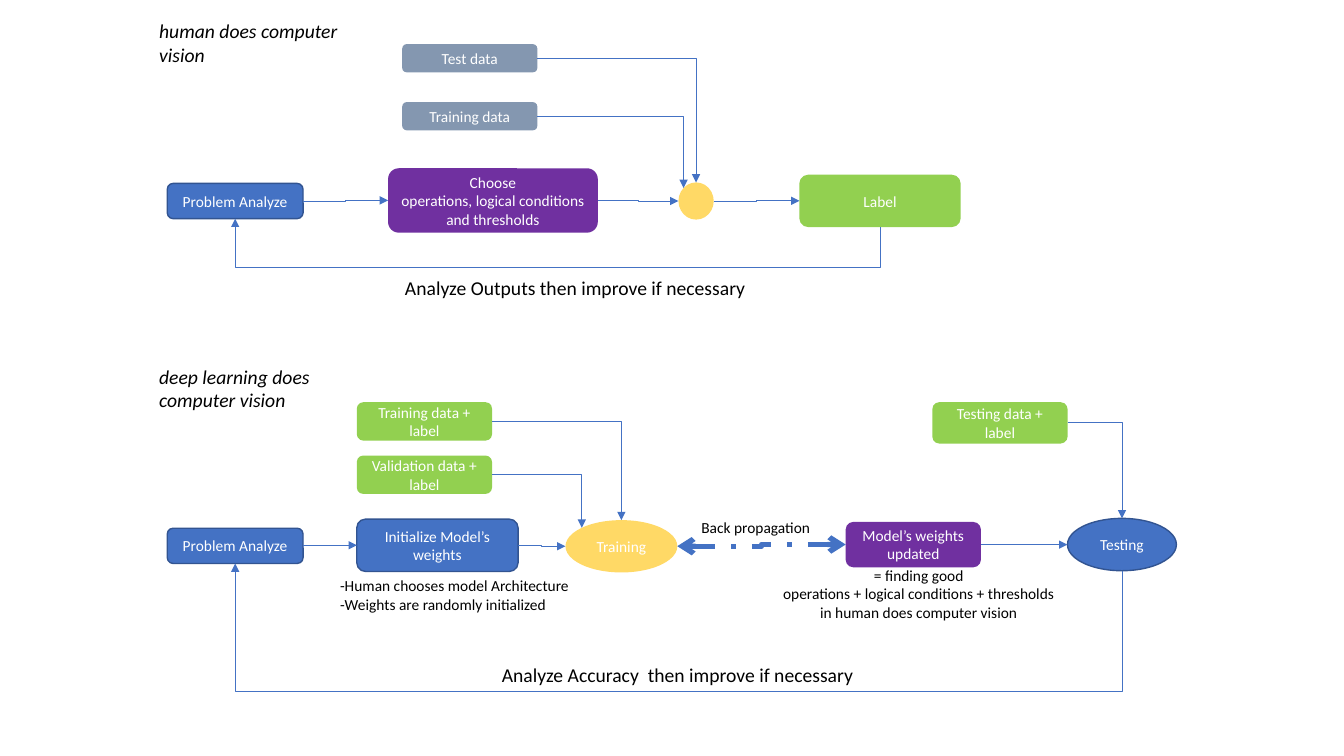
"""Build a slide comparing human and deep learning computer vision flows."""
from dataclasses import dataclass

from lxml.etree import SubElement
from pptx import Presentation
from pptx.dml.color import RGBColor
from pptx.enum.dml import MSO_LINE
from pptx.enum.shapes import MSO_CONNECTOR, MSO_SHAPE
from pptx.enum.text import MSO_ANCHOR, PP_ALIGN
from pptx.oxml.ns import qn
from pptx.util import Pt


@dataclass(frozen=True)
class Theme:
    font: str = "Calibri"
    small: int = 11
    large: int = 14
    blue: str = "4472C4"
    edge: str = "325491"
    slate: str = "8497B0"
    purple: str = "7030A0"
    green: str = "92D050"
    yellow: str = "FFD966"
    white: str = "FFFFFF"
    black: str = "000000"


theme = Theme()
TOP, LEFT, BOTTOM, RIGHT = range(4)
ROUND, OVAL = MSO_SHAPE.ROUNDED_RECTANGLE, MSO_SHAPE.OVAL

deck = Presentation()
deck.slide_width, deck.slide_height = Pt(960), Pt(540)
slide = deck.slides.add_slide(deck.slide_layouts[6])


def write(shape, text, size=theme.small, color=theme.white,
          align=PP_ALIGN.CENTER, anchor=MSO_ANCHOR.MIDDLE, italic=False):
    frame = shape.text_frame
    frame.word_wrap = True
    frame.vertical_anchor = anchor
    frame.text = text
    for para in frame.paragraphs:
        para.alignment = align
        para.font.name = theme.font
        para.font.size = Pt(size)
        para.font.italic = italic
        para.font.color.rgb = RGBColor.from_string(color)


def link(start, side, stop, face, prst="bentConnector3", width=0.5):
    wire = slide.shapes.add_connector(MSO_CONNECTOR.ELBOW, 0, 0, 0, 0)
    wire.begin_connect(start, side)
    wire.end_connect(stop, face)
    tree = wire._element
    for tag, node, spot in (("a:stCxn", start, side), ("a:endCxn", stop, face)):
        if node.auto_shape_type == OVAL:
            next(tree.iter(qn(tag))).set("idx", str(spot * 2))
    wire.line.width = Pt(width)
    wire.line.color.rgb = RGBColor.from_string(theme.blue)
    tree.spPr.find(qn("a:prstGeom")).set("prst", prst)
    SubElement(tree.spPr, qn("a:effectLst"))
    return wire


nodes = {}
for name, kind, text, fill, left, top, width, height in (
    ("test", ROUND, "Test data", theme.slate, 287.3, 31.5, 96.6, 20.2),
    ("train", ROUND, "Training data", theme.slate, 287.3, 72.9, 96.6, 20.2),
    ("human", ROUND, "Problem Analyze", theme.blue, 119.5, 131, 97, 25.2),
    ("choose", ROUND, "Choose\noperations, logical conditions and thresholds",
     theme.purple, 277.2, 120.2, 149.8, 46),
    ("join", OVAL, "", theme.yellow, 484.6, 130.3, 25.2, 26.6),
    ("label", ROUND, "Label", theme.green, 571, 124.8, 115.2, 37.4),
    ("learn", ROUND, "Training data + label", theme.green, 254.9, 287.3, 96.6, 27.4),
    ("valid", ROUND, "Validation data + label", theme.green, 254.9, 325.4, 96.6, 27.4),
    ("deep", ROUND, "Problem Analyze", theme.blue, 119.5, 377.3, 97, 25.2),
    ("init", ROUND, "Initialize Model’s weights", theme.blue, 254.9, 370.8, 115.2, 37.4),
    ("fit", OVAL, "Training", theme.yellow, 403.9, 371.5, 79.9, 37.4),
    ("weights", ROUND, "Model’s weights\nupdated", theme.purple, 604.1, 372.8, 96.6, 32.4),
    ("check", OVAL, "Testing", theme.blue, 762.5, 370.3, 77.8, 37.4),
    ("sample", ROUND, "Testing data + label", theme.green, 666, 287.3, 96.6, 29.5),
    ("good", ROUND, "= finding good\noperations + logical conditions + thresholds\n"
     "in human does computer vision", None, 545.8, 405.4, 221, 37.4),
    ("setup", ROUND, "-Human chooses model Architecture\n-Weights are randomly initialized",
     None, 234, 406.1, 182.9, 37.4),
):
    node = slide.shapes.add_shape(kind, Pt(left), Pt(top), Pt(width), Pt(height))
    node.shadow.inherit = False
    node.line.fill.background()
    if fill:
        node.fill.solid()
        node.fill.fore_color.rgb = RGBColor.from_string(fill)
    else:
        node.fill.background()
    if fill == theme.blue:
        node.line.color.rgb = RGBColor.from_string(theme.edge)
        node.line.width = Pt(1)
    if text:
        write(node, text, color=theme.white if fill else theme.black,
              align=PP_ALIGN.LEFT if name == "setup" else PP_ALIGN.CENTER)
    nodes[name] = node

for text, size, italic, left, top, width, height in (
    ("human does computer vision", theme.large, True, 106.6, 10.1, 170.6, 41),
    ("deep learning does computer vision", theme.large, True, 106.6, 257, 170.6, 41),
    ("Analyze Outputs then improve if necessary", theme.large, False, 282.2, 193.7, 270, 24.5),
    ("Analyze Accuracy  then improve if necessary", theme.large, False, 351.4, 470, 283.7, 24.5),
    ("Back propagation", theme.small, False, 493.9, 366.5, 96.5, 20.9),
):
    box = slide.shapes.add_textbox(Pt(left), Pt(top), Pt(width), Pt(height))
    write(box, text, size=size, color=theme.black, align=PP_ALIGN.LEFT,
          anchor=MSO_ANCHOR.TOP, italic=italic)

wires = []
for start, stop in (("human", "choose"), ("choose", "join"), ("join", "label"),
                    ("deep", "init"), ("init", "fit"), ("weights", "check")):
    wires.append(link(nodes[start], RIGHT, nodes[stop], LEFT))

for start, stop in (("test", "join"), ("learn", "fit"), ("sample", "check")):
    wires.append(link(nodes[start], RIGHT, nodes[stop], TOP, "bentConnector2"))

for start, stop, end_x, end_y in (("train", "join", 488.3, 134.3),
                                  ("valid", "fit", 415.6, 377)):
    wire = link(nodes[start], RIGHT, nodes[stop], TOP, "bentConnector2")
    wire.end_x, wire.end_y = Pt(end_x), Pt(end_y)
    next(wire._element.iter(qn("a:endCxn"))).set("idx", "1")
    wires.append(wire)

for start, stop, floor in (("label", "human", 190.8), ("check", "deep", 493.9)):
    wire = link(nodes[start], BOTTOM, nodes[stop], BOTTOM)
    span, rise = wire.begin_x - wire.end_x, wire.begin_y - wire.end_y
    mid_x, mid_y = (wire.begin_x + wire.end_x) // 2, (wire.begin_y + wire.end_y) // 2
    bend = round((wire.begin_y - Pt(floor)) / rise * 100000)
    wire.left, wire.top = mid_x - rise // 2, mid_y - span // 2
    wire.width, wire.height = rise, span
    form = wire._element.spPr.find(qn("a:xfrm"))
    for key, value in (("rot", "5400000"), ("flipH", "1"), ("flipV", "0")):
        form.set(key, value)
    guides = next(wire._element.iter(qn("a:avLst")))
    SubElement(guides, qn("a:gd"), name="adj1", fmla=f"val {bend}")
    wires.append(wire)

back = link(nodes["fit"], RIGHT, nodes["weights"], LEFT, width=3.75)
back.line.dash_style = MSO_LINE.DASH_DOT
for wire in wires + [back]:
    edge = wire._element.spPr.find(qn("a:ln"))
    if wire is back:
        SubElement(edge, qn("a:headEnd"), type="arrow")
    SubElement(edge, qn("a:tailEnd"), type="arrow" if wire is back else "triangle")

deck.save("out.pptx")
